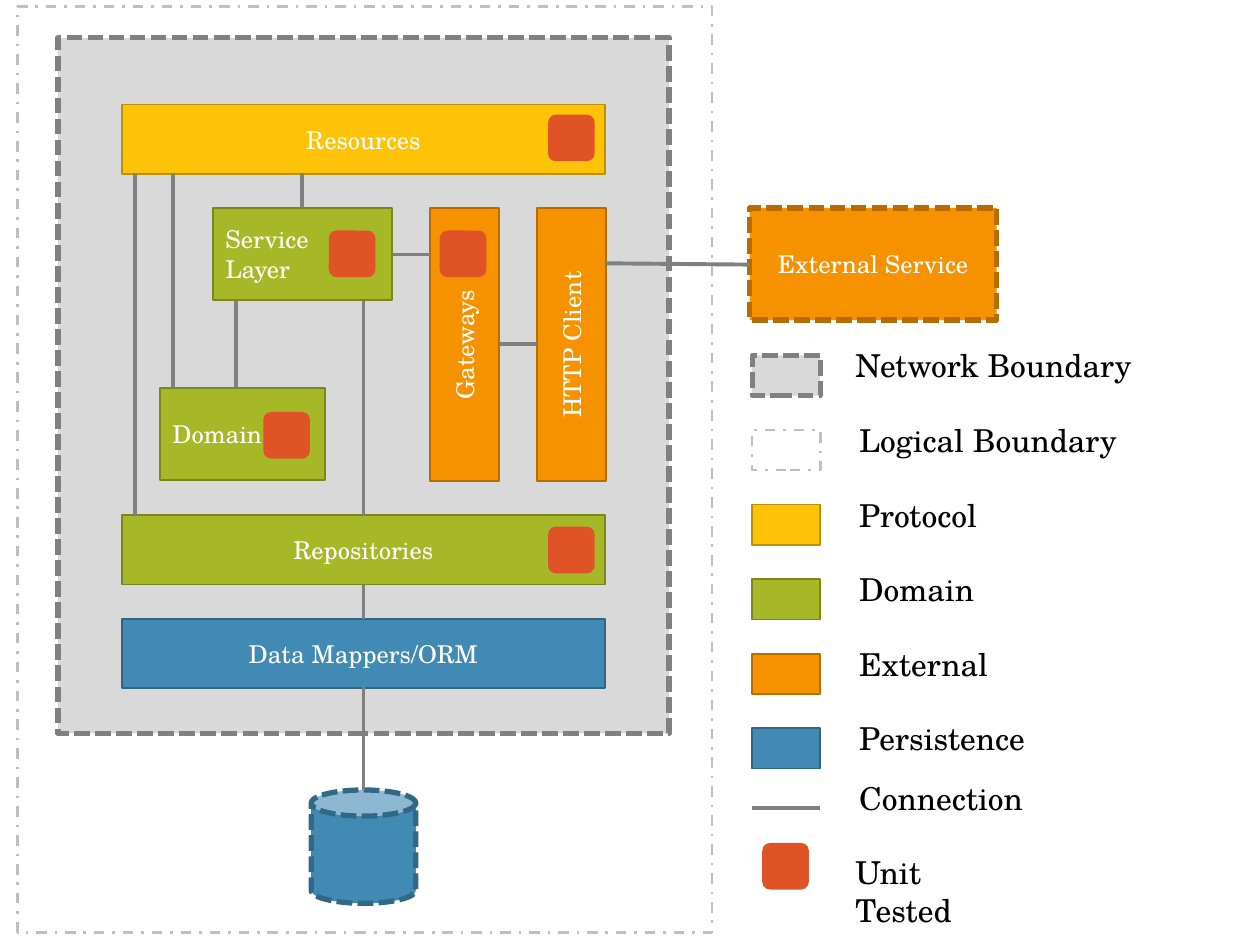
from lxml import etree
from pptx import Presentation
from pptx.dml.color import RGBColor
from pptx.enum.dml import MSO_LINE
from pptx.enum.shapes import MSO_CONNECTOR, MSO_SHAPE
from pptx.enum.text import MSO_ANCHOR, PP_ALIGN
from pptx.oxml.ns import qn
from pptx.util import Inches, Pt

RECT = MSO_SHAPE.RECTANGLE
ROUNDED = MSO_SHAPE.ROUNDED_RECTANGLE
CAN = MSO_SHAPE.CAN
STRAIGHT = MSO_CONNECTOR.STRAIGHT
DASHED = MSO_LINE.SQUARE_DOT
DASH_DOT = MSO_LINE.DASH_DOT
LEFT, CENTER = PP_ALIGN.LEFT, PP_ALIGN.CENTER
TOP, MIDDLE = MSO_ANCHOR.TOP, MSO_ANCHOR.MIDDLE

SLIDE_W, SLIDE_H = Inches(10), Inches(7.5)
COLUMNS, ROWS = 100, 75
FONT = "TeX Gyre Schola"
WHITE, BLACK, GRAY = "FFFFFF", "000000", "808080"

NETWORK = ("D9D9D9", GRAY, 3, DASHED)
LOGICAL = (None, "BFBFBF", 1.5, DASH_DOT)
PROTOCOL = ("FEC306", "BC9004", 1, None)
DOMAIN = ("A6B727", "7B871D", 1, None)
EXTERNAL = ("F69200", "B66C00", 1, None)
REMOTE = ("F69200", "B66C00", 3, DASHED)
PERSISTENCE = ("418AB3", "306684", 1, None)
DATABASE = ("418AB3", "316886", 3, DASHED)
TESTED = ("DF5327", None, 0, None)

BAR_LEFT, BAR_W, BAR_H = 9.7, 38.3, 5.5
AXIS = BAR_LEFT + BAR_W / 2
BADGE = 3.7
KEY_LEFT, KEY_W, KEY_H = 59.7, 5.4, 3.2
KEY_TOP, KEY_PITCH = 28.2, 5.92
LABEL_LEFT, LABEL_RISE = 67.2, 1.2


def color(hex_string):
    return RGBColor.from_string(hex_string)


def across(columns):
    return round(SLIDE_W * columns / COLUMNS)


def down(rows):
    return round(SLIDE_H * rows / ROWS)


def write(frame, lines, size, ink, align, anchor):
    frame.word_wrap = True
    frame.vertical_anchor = anchor
    for index, line in enumerate(lines):
        paragraph = frame.add_paragraph() if index else frame.paragraphs[0]
        paragraph.alignment = align
        run = paragraph.add_run()
        run.text = line
        run.font.name = FONT
        run.font.size = Pt(size)
        run.font.color.rgb = color(ink)


def block(slide, place, style, lines=(), align=CENTER, preset=RECT, rotation=0):
    left, top, width, height = place
    fill, outline, weight, dash = style
    shape = slide.shapes.add_shape(
        preset, across(left), down(top), across(width), down(height))
    shape.shadow.inherit = False
    shape.rotation = rotation
    if fill:
        shape.fill.solid()
        shape.fill.fore_color.rgb = color(fill)
    else:
        shape.fill.background()
    if outline:
        shape.line.color.rgb = color(outline)
        shape.line.width = Pt(weight)
        if dash:
            shape.line.dash_style = dash
    else:
        shape.line.fill.background()
    write(shape.text_frame, lines, 14, WHITE, align, MIDDLE)


def connection(slide, x1, y1, x2, y2):
    link = slide.shapes.add_connector(
        STRAIGHT, across(x1), down(y1), across(x2), down(y2))
    link.line.color.rgb = color(GRAY)
    link.line.width = Pt(2.25)
    etree.SubElement(link._element.spPr, qn("a:effectLst"))


def label(slide, text, left, top, width=31.9):
    box = slide.shapes.add_textbox(
        across(left), down(top), across(width), down(5.6))
    write(box.text_frame, [text], 18, BLACK, LEFT, TOP)


def badge(slide, left, top):
    block(slide, (left, top, BADGE, BADGE), TESTED, preset=ROUNDED)


def architecture(slide):
    block(slide, (1.4, 0.5, 55.1, 73.5), LOGICAL)
    block(slide, (4.6, 3, 48.5, 55.2), NETWORK)
    block(slide, (24.7, 62.7, 8.3, 9), DATABASE, preset=CAN)
    for name, top, style in (("Data Mappers/ORM", 49.1, PERSISTENCE),
                             ("Repositories", 40.9, DOMAIN),
                             ("Resources", 8.3, PROTOCOL)):
        block(slide, (BAR_LEFT, top, BAR_W, BAR_H), style, [name])
    for name, left in (("HTTP Client", 34.5), ("Gateways", 26)):
        block(slide, (left, 24.6, 21.7, BAR_H), EXTERNAL, [name], rotation=270)
    block(slide, (59.5, 16.5, 19.6, 8.9), REMOTE, ["External Service"])
    for ends in ((10.7, 13.7, 10.7, 40.9), (AXIS, 46.4, AXIS, 49.1),
                 (AXIS, 54.5, AXIS, 62.7), (31.1, 20.2, 34.1, 20.2),
                 (39.6, 27.3, 42.6, 27.3), (48.1, 20.9, 59.5, 21),
                 (13.7, 13.7, 13.7, 31.1), (AXIS, 23.9, AXIS, 40.9),
                 (24, 13.7, 24, 16.5), (18.7, 23.9, 18.7, 30.8)):
        connection(slide, *ends)
    block(slide, (16.9, 16.5, 14.2, 7.3), DOMAIN, ["Service", "Layer"], LEFT)
    block(slide, (12.7, 30.8, 13.1, 7.3), DOMAIN, ["Domain"], LEFT)
    for left, top in ((43.5, 9.1), (26.1, 18.3), (20.9, 32.7),
                      (43.5, 41.8), (34.9, 18.3)):
        badge(slide, left, top)


def legend(slide):
    keys = (("Network Boundary", NETWORK), ("Logical Boundary", LOGICAL),
            ("Protocol", PROTOCOL), ("Domain", DOMAIN),
            ("External", EXTERNAL), ("Persistence", PERSISTENCE))
    for row, (name, style) in enumerate(keys):
        top = KEY_TOP + row * KEY_PITCH
        block(slide, (KEY_LEFT, top, KEY_W, KEY_H), style)
        left = LABEL_LEFT if row else LABEL_LEFT - 0.3
        label(slide, name, left, top - LABEL_RISE)
    connection(slide, KEY_LEFT + KEY_W, 64.1, KEY_LEFT, 64.1)
    label(slide, "Connection", LABEL_LEFT, 61.3)
    badge(slide, 60.5, 66.9)
    label(slide, "Unit Tested", LABEL_LEFT - 0.3, 67.2, 15.3)


def main():
    deck = Presentation()
    deck.slide_width, deck.slide_height = SLIDE_W, SLIDE_H
    slide = deck.slides.add_slide(deck.slide_layouts[6])
    architecture(slide)
    legend(slide)
    deck.save("out.pptx")


main()
